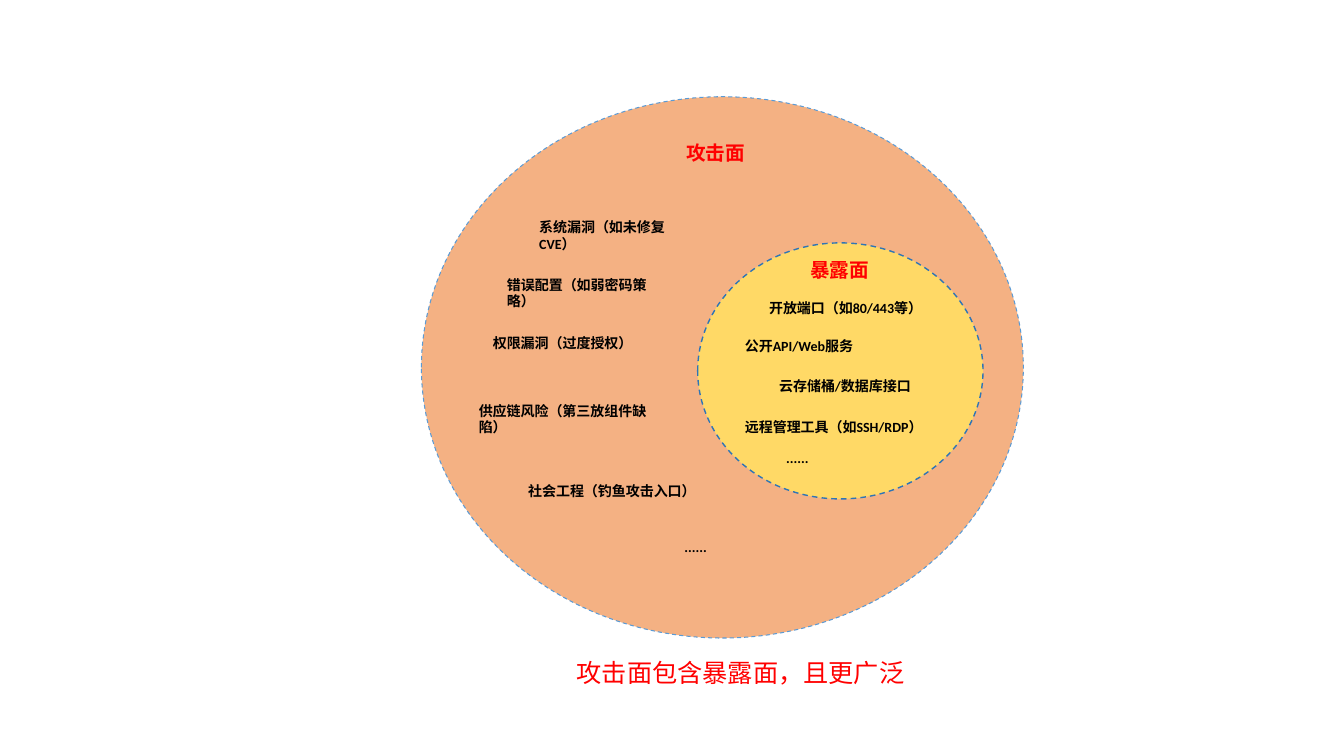
from pptx import Presentation
from pptx.dml.color import RGBColor
from pptx.enum.dml import MSO_LINE_DASH_STYLE as Dash
from pptx.enum.shapes import MSO_SHAPE as Shape
from pptx.enum.text import MSO_ANCHOR as Anchor, PP_ALIGN as Align
from pptx.util import Inches, Pt

BLACK, RED = "000000", "FF0000"
ITEM_HEIGHT = 0.31
ATTACK_ITEMS = [
    ("系统漏洞（如未修复CVE）", 5.25, 2.12, 1.76),
    ("错误配置（如弱密码策略）", 4.93, 2.69, 1.76),
    ("权限漏洞（过度授权）", 4.79, 3.27, 1.76),
    ("供应链风险（第三放组件缺陷）", 4.65, 3.94, 2.05),
    ("社会工程（钓鱼攻击入口）", 5.14, 4.74, 2.05),
    ("......", 6.69, 5.29, 1.3),
]
EXPOSURE_ITEMS = [
    ("开放端口（如80/443等）", 7.53, 2.92, 1.76),
    ("公开API/Web服务", 7.29, 3.3, 1.76),
    ("云存储桶/数据库接口", 7.63, 3.7, 1.76),
    ("远程管理工具（如SSH/RDP）", 7.29, 4.1, 2.1),
    ("......", 7.7, 4.41, 1.3),
]
HEADINGS = [("暴露面", 7.45, 2.51, 1.76), ("攻击面", 6.22, 1.35, 1.76)]


def color(value):
    return RGBColor.from_string(value)


class SurfaceSlide:
    font = "Calibri"

    def __init__(self, deck):
        self.page = deck.slides.add_slide(deck.slide_layouts[6])

    def ellipse(self, left, top, width, height, fill, line, weight):
        oval = self.page.shapes.add_shape(
            Shape.OVAL, Inches(left), Inches(top), Inches(width), Inches(height))
        oval.shadow.inherit = False
        oval.fill.solid()
        oval.fill.fore_color.rgb = color(fill)
        oval.line.color.rgb = color(line)
        oval.line.width = Pt(weight)
        oval.line.dash_style = Dash.DASH

    def label(self, text, left, top, width, height=ITEM_HEIGHT,
              size=10, ink=BLACK, bold=True, align=Align.LEFT):
        box = self.page.shapes.add_textbox(
            Inches(left), Inches(top), Inches(width), Inches(height))
        frame = box.text_frame
        frame.word_wrap = True
        frame.vertical_anchor = Anchor.TOP
        para = frame.paragraphs[0]
        para.alignment = align
        span = para.add_run()
        span.text = text
        span.font.name = self.font
        span.font.size = Pt(size)
        span.font.bold = bold
        span.font.color.rgb = color(ink)


def main():
    deck = Presentation()
    deck.slide_width, deck.slide_height = Inches(13.33), Inches(7.5)
    slide = SurfaceSlide(deck)
    slide.ellipse(4.18, 0.96, 5.97, 5.37, "F4B183", "5B9BD5", 0.75)
    slide.ellipse(6.92, 2.41, 2.83, 2.54, "FFD966", "2E75B6", 1)
    for item in EXPOSURE_ITEMS + ATTACK_ITEMS:
        slide.label(*item)
    for heading in HEADINGS:
        slide.label(*heading, size=14, ink=RED, align=Align.CENTER)
    slide.label("攻击面包含暴露面，且更广泛", 4.01, 6.47, 6.67, 0.4,
                size=18, ink=RED, bold=False, align=Align.CENTER)
    deck.save("out.pptx")


if __name__ == "__main__":
    main()
